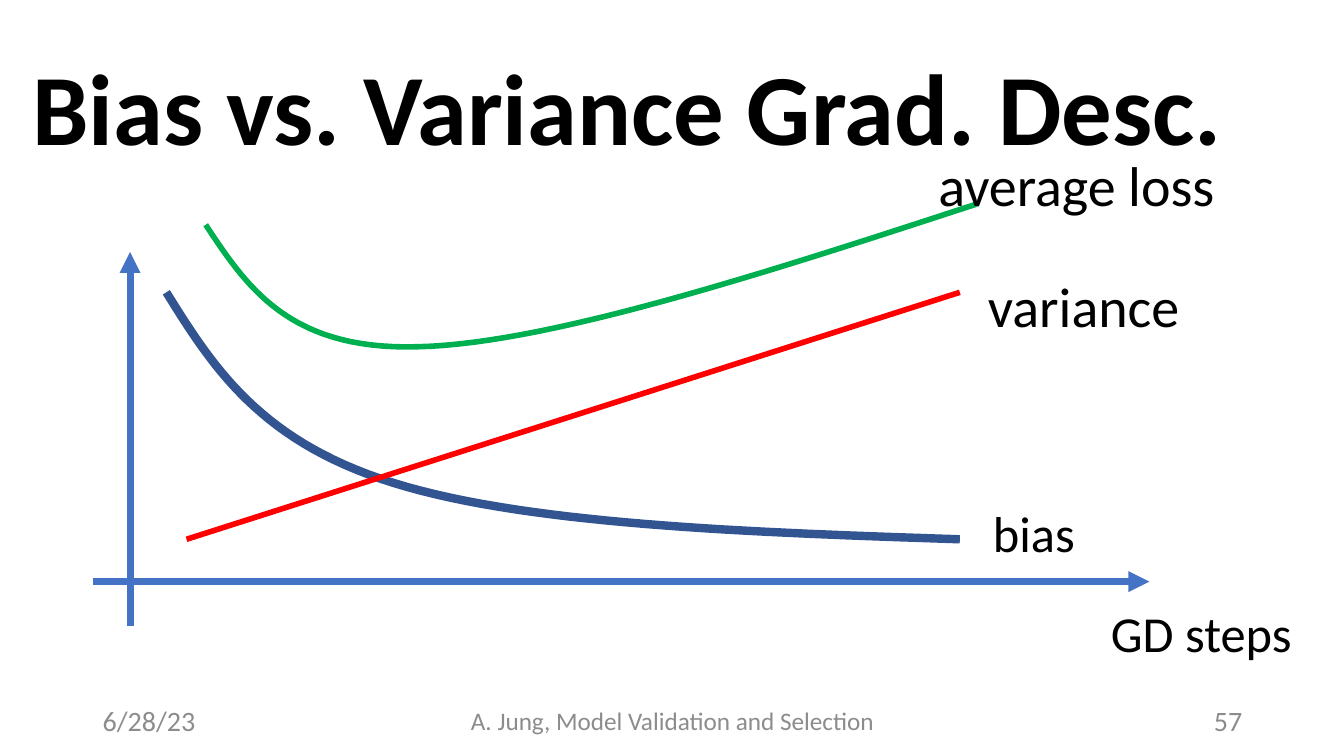
from lxml import etree
from pptx import Presentation
from pptx.dml.color import RGBColor as RGB
from pptx.enum.shapes import MSO_CONNECTOR as CONN
from pptx.enum.text import MSO_ANCHOR as ANCHOR, MSO_AUTO_SIZE as AUTO, PP_ALIGN as ALIGN
from pptx.oxml.ns import qn
from pptx.util import Inches, Pt

HUES = {"ink": "000000", "gray": "8C8C8C", "axis": "4472C4",
        "bias": "325491", "var": "FF0000", "loss": "00B050"}

deck = Presentation()
deck.slide_width, deck.slide_height = Inches(13.33), Inches(7.5)
slide = deck.slides.add_slide(deck.slide_layouts[5])
shapes = slide.shapes


def write(text, box, size, shape=None, hue="ink", bold=False, wrap=True,
          align=ALIGN.LEFT, anchor=ANCHOR.MIDDLE, space=1.0):
    """Put formatted text in a given shape or a new text box."""
    spot = [Inches(n) for n in box]
    shape = shape or shapes.add_textbox(*spot)
    shape.left, shape.top, shape.width, shape.height = spot
    frame = shape.text_frame
    frame.text = text
    frame.word_wrap = wrap
    frame.auto_size = AUTO.NONE if wrap else AUTO.SHAPE_TO_FIT_TEXT
    frame.vertical_anchor = anchor
    para = frame.paragraphs[0]
    para.alignment, para.line_spacing = align, space
    font = para.runs[0].font
    font.name, font.size, font.bold = "Calibri", Pt(size), bold
    font.color.rgb = RGB.from_string(HUES[hue])


def rule(start, end, hue, width, arrow=False):
    """Draw a straight line, with an arrowhead at its end if asked."""
    ends = [Inches(n) for n in (*start, *end)]
    line = shapes.add_connector(CONN.STRAIGHT, *ends)
    line.line.color.rgb = RGB.from_string(HUES[hue])
    line.line.width = Pt(width)
    props = line._element.spPr
    etree.SubElement(props, qn("a:effectLst"))
    if arrow:
        tip = etree.SubElement(props.find(qn("a:ln")), qn("a:tailEnd"))
        tip.set("type", "triangle")


# Title and footer
write("Bias vs. Variance Grad. Desc.", (0.22, 0.39, 12.9, 1.45), 72,
      shape=shapes.title, bold=True, space=0.9)
for text, left, width, size, align in [
        ("A. Jung, Model Validation and Selection", 4.42, 4.5, 18, ALIGN.CENTER),
        ("57", 9.42, 3, 20, ALIGN.RIGHT),
        ("6/28/23", 0.92, 3, 20, ALIGN.LEFT)]:
    write(text, (left, 6.95, width, 0.4), size, hue="gray", align=align)

# Axes
rule((0.92, 5.77), (11.4, 5.77), "axis", 5, arrow=True)
rule((1.29, 6.21), (1.29, 2.5), "axis", 5, arrow=True)

# Curves: a start point, then two cubic Bezier spans of three points each
STEPS = 30
for hue, width, knots in [
        ("bias", 6, [(1.65, 2.9), (2.11, 3.64), (2.58, 4.38), (3.9, 4.79),
                     (5.21, 5.2), (7.36, 5.28), (9.52, 5.35)]),
        ("loss", 4, [(2.04, 2.23), (2.45, 2.85), (2.87, 3.48), (4.15, 3.44),
                     (5.43, 3.41), (7.56, 2.72), (9.7, 2.02)])]:
    dots = []
    for first in (0, 3):
        span = knots[first:first + 4]
        for step in range(1, STEPS + 1):
            t = step / STEPS
            mix = ((1 - t) ** 3, 3 * t * (1 - t) ** 2, 3 * t * t * (1 - t), t ** 3)
            dots.append([Inches(sum(m * p[axis] for m, p in zip(mix, span)))
                         for axis in (0, 1)])
    path = shapes.build_freeform(*[Inches(n) for n in knots[0]])
    path.add_line_segments(dots, close=False)
    curve = path.convert_to_shape()
    curve.shadow.inherit = False
    curve.fill.background()
    curve.line.color.rgb = RGB.from_string(HUES[hue])
    curve.line.width = Pt(width)
rule((1.85, 5.35), (9.52, 2.9), "var", 4)

# Labels
for text, box, size in [
        ("GD steps", (10.92, 5.92, 2.01, 0.71), 36),
        ("variance", (9.7, 2.64, 2.12, 0.77), 40),
        ("bias", (9.75, 4.93, 1.02, 0.71), 36),
        ("average loss ", (9.21, 1.44, 3.1, 0.77), 40)]:
    write(text, box, size, wrap=False, anchor=ANCHOR.TOP)

deck.save("out.pptx")
